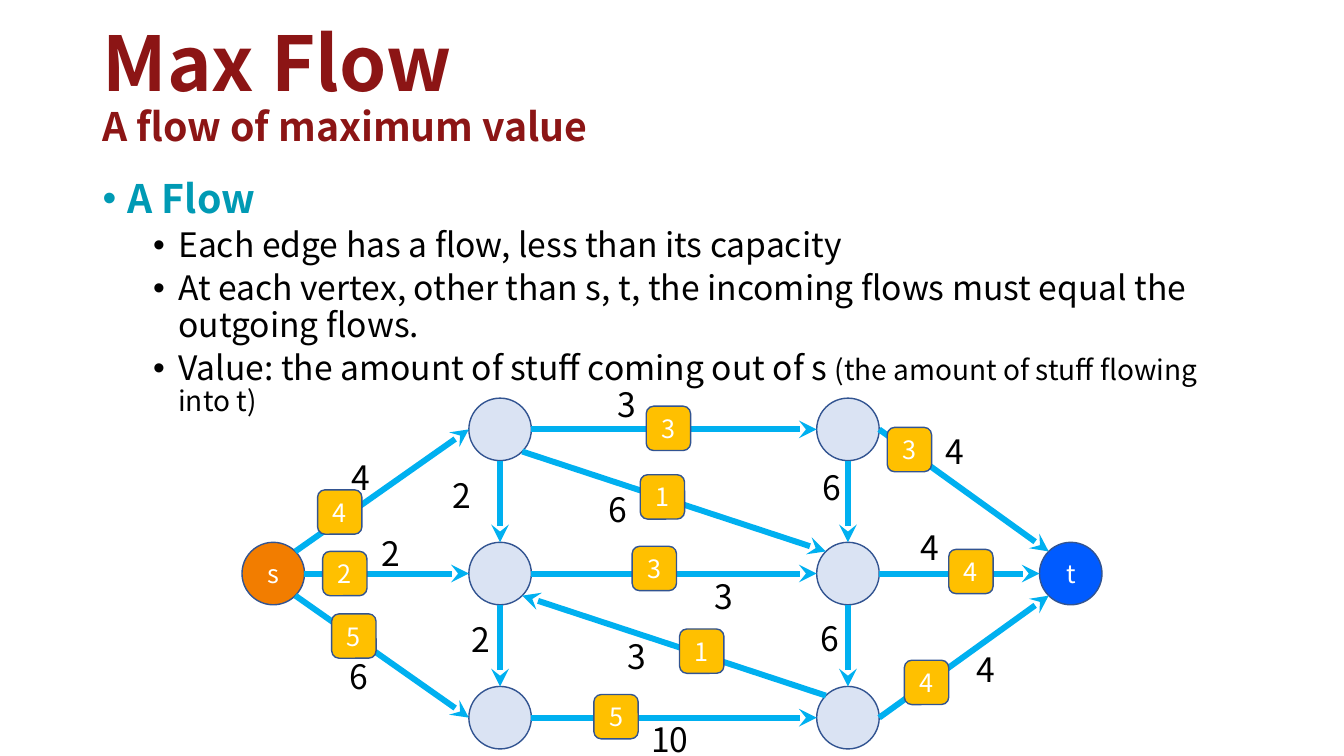
from math import cos, radians, sin

from lxml import etree
from pptx import Presentation
from pptx import util as u
from pptx.dml.color import RGBColor
from pptx.enum import shapes, text
from pptx.oxml import ns

FONT = "Noto Sans CJK SC"
C = {"title": "8C1515", "heading": "009AB4", "ink": "000000", "white": "FFFFFF",
     "edge": "00B0F0", "outline": "325491", "node": "DAE3F3",
     "source": "F27D00", "sink": "005BFF", "flow": "FFC000"}

COLS = (2.71, 4.96, 8.41, 10.62)
ROWS = tuple(4.26 + 1.43 * i for i in range(3))
NODE, BADGE = 0.62, 0.44
LABEL_W, LABEL_H = 0.66, 0.5
PORTS = {name: i * 45 for i, name in enumerate(("E", "SE", "S", "SW", "W", "NW", "N", "NE"))}

NODES = {"t": (3, 1), "s": (0, 1),
         "a": (1, 0), "b": (1, 1), "c": (1, 2),
         "e": (2, 1), "d": (2, 0), "f": (2, 2)}

# from, port, to, port, capacity, label corner, flow, badge corner
EDGES = [
    ("s", "SE", "c", "W", "6", (3.37, 6.46), "5", (3.29, 6.09)),
    ("s", "E", "b", "W", "2", (3.69, 5.24), "2", (3.2, 5.47)),
    ("s", "NE", "a", "W", "4", (3.39, 4.48), "4", (3.15, 4.86)),
    ("a", "S", "b", "N", "2", (4.39, 4.66), None, None),
    ("b", "S", "c", "N", "2", (4.58, 6.09), None, None),
    ("f", "NW", "b", "SE", "3", (6.13, 6.26), "1", (6.74, 6.24)),
    ("a", "SE", "e", "NW", "6", (5.94, 4.8), "1", (6.35, 4.71)),
    ("a", "E", "d", "W", "3", (6.03, 3.76), "3", (6.41, 4.03)),
    ("b", "E", "e", "W", "3", (6.99, 5.66), "3", (6.27, 5.42)),
    ("c", "E", "f", "W", "10", (6.36, 7.08), "5", (5.89, 6.89)),
    ("d", "S", "e", "N", "6", (8.06, 4.58), None, None),
    ("e", "S", "f", "N", "6", (8.04, 6.08), None, None),
    ("d", "E", "t", "NW", "4", (9.28, 4.23), "3", (8.8, 4.24)),
    ("e", "E", "t", "W", "4", (9.03, 5.18), "4", (9.41, 5.45)),
    ("f", "E", "t", "SW", "4", (9.59, 6.39), "4", (8.97, 6.55)),
]

BULLETS = [
    [("Each edge has a flow, less than its capacity", 24)],
    [("At each vertex, other than s, t, the incoming flows must equal the outgoing flows.", 24)],
    [("Value: the amount of stuff coming out of s ", 24),
     ("(the amount of stuff flowing into t)", 20)],
]


def rgb(name):
    return RGBColor.from_string(C[name])


def add_run(p, words, size, color, bold=False):
    r = p.add_run()
    r.text = words
    r.font.name, r.font.size, r.font.bold = FONT, u.Pt(size), bold
    r.font.color.rgb = rgb(color)
    for tag in ("a:ea", "a:cs"):
        etree.SubElement(r.font._element, ns.qn(tag), typeface=FONT)


def add_box(s, x, y, w, h):
    tf = s.shapes.add_textbox(*map(u.Inches, (x, y, w, h))).text_frame
    tf.word_wrap = True
    return tf


def add_bullet(p, level, left, before, runs, color, bold=False):
    p.level, p.line_spacing, p.space_before = level, 0.9, u.Pt(before)
    pPr = p._p.get_or_add_pPr()
    pPr.set("marL", str(u.Inches(left)))
    pPr.set("indent", str(u.Inches(-0.25)))
    etree.SubElement(pPr, ns.qn("a:buFont"), typeface="Arial")
    etree.SubElement(pPr, ns.qn("a:buChar"), char="•")
    for words, size in runs:
        add_run(p, words, size, color, bold)


def add_token(s, kind, x, y, side, fill, words=""):
    sp = s.shapes.add_shape(kind, *map(u.Inches, (x, y, side, side)))
    sp.shadow.inherit = False
    sp.fill.solid()
    sp.fill.fore_color.rgb = rgb(fill)
    sp.line.color.rgb = rgb("outline")
    sp.line.width = u.Pt(1)
    if words:
        tf = sp.text_frame
        tf.vertical_anchor = text.MSO_ANCHOR.MIDDLE
        p = tf.paragraphs[0]
        p.alignment = text.PP_ALIGN.CENTER
        add_run(p, words, 18, "white")


def port_point(node, port):
    col, row = NODES[node]
    angle = radians(PORTS[port])
    return COLS[col] + NODE / 2 * cos(angle), ROWS[row] + NODE / 2 * sin(angle)


def add_arrow(s, start, end):
    cx = s.shapes.add_connector(shapes.MSO_CONNECTOR.STRAIGHT, *map(u.Inches, start + end))
    cx.line.color.rgb = rgb("edge")
    cx.line.width = u.Pt(4.25)
    etree.SubElement(cx.line._get_or_add_ln(), ns.qn("a:tailEnd"), type="stealth")
    etree.SubElement(cx._element.spPr, ns.qn("a:effectLst"))


def add_capacity(s, x, y, words):
    tf = add_box(s, x, y, LABEL_W, LABEL_H)
    tf.auto_size = text.MSO_AUTO_SIZE.SHAPE_TO_FIT_TEXT
    add_run(tf.paragraphs[0], words, 24, "ink")


def add_title(s):
    tf = add_box(s, 0.92, 0.15, 11.5, 1.45)
    tf.vertical_anchor = text.MSO_ANCHOR.MIDDLE
    p = tf.paragraphs[0]
    p.line_spacing = 0.9
    add_run(p, "Max Flow", 54, "title", True)
    p.add_line_break()
    add_run(p, "A flow of maximum value", 28, "title", True)


def add_body(s):
    tf = add_box(s, 0.92, 1.73, 11.5, 5.03)
    add_bullet(tf.paragraphs[0], 0, 0.25, 0, [("A Flow", 28)], "heading", True)
    for runs in BULLETS:
        add_bullet(tf.add_paragraph(), 1, 0.75, 5, runs, "ink")


def add_network(s):
    ends = {"s": "source", "t": "sink"}
    for name, (col, row) in NODES.items():
        add_token(s, shapes.MSO_SHAPE.OVAL, COLS[col] - NODE / 2, ROWS[row] - NODE / 2,
                  NODE, ends.get(name, "node"), name if name in ends else "")
    for tail, out, head, into, *_ in EDGES:
        add_arrow(s, port_point(tail, out), port_point(head, into))
    for *_, capacity, label, _, _ in EDGES:
        add_capacity(s, *label, capacity)
    for *_, flow, badge in EDGES:
        if flow:
            add_token(s, shapes.MSO_SHAPE.ROUNDED_RECTANGLE, *badge, BADGE, "flow", flow)


def main():
    prs = Presentation()
    prs.slide_width, prs.slide_height = u.Inches(13.33), u.Inches(7.5)
    s = prs.slides.add_slide(prs.slide_layouts[6])
    add_title(s)
    add_body(s)
    add_network(s)
    prs.save("out.pptx")


if __name__ == "__main__":
    main()
